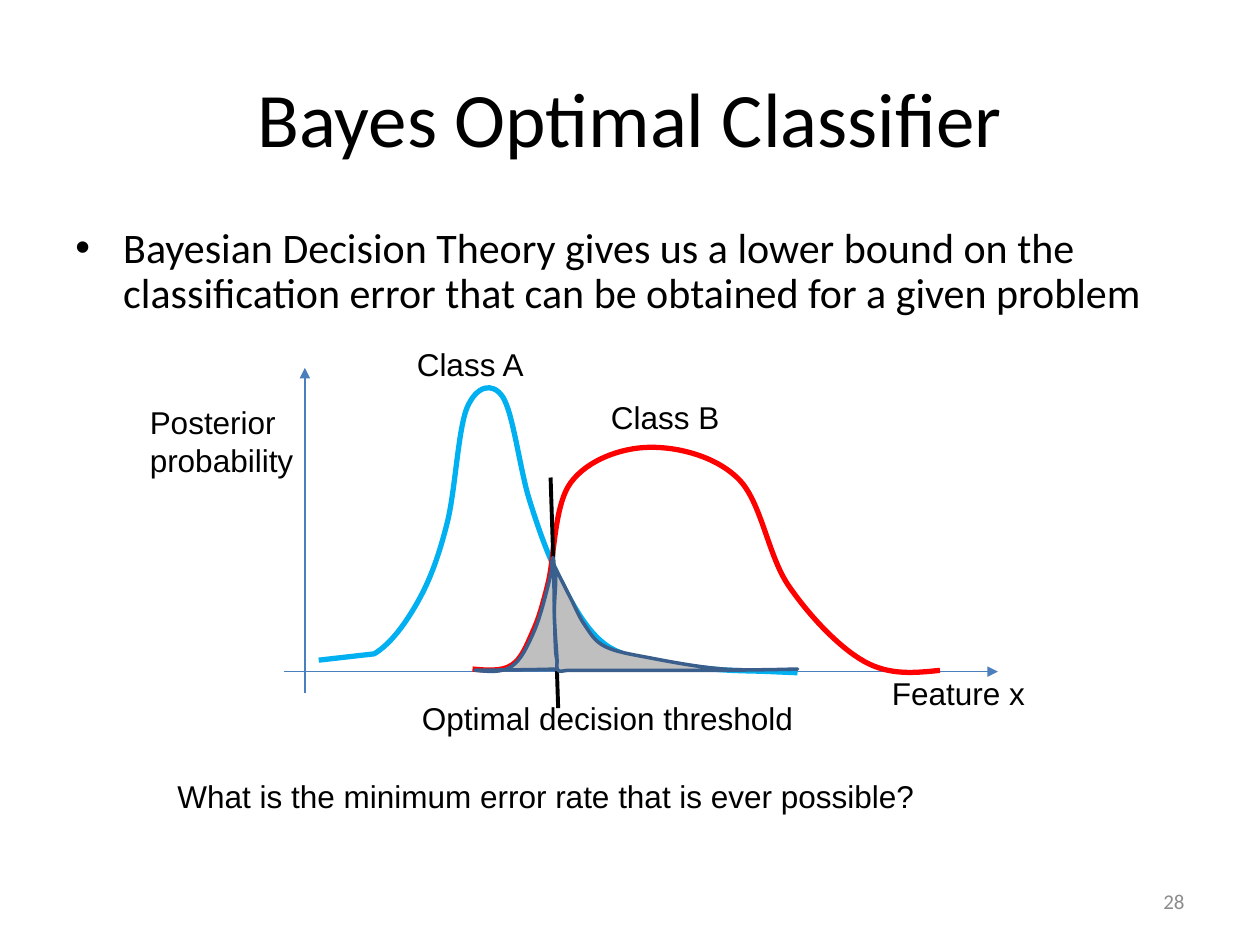
from lxml import etree
from pptx import Presentation, util as u
from pptx.dml.color import RGBColor
from pptx.enum import shapes, text
from pptx.oxml.ns import qn

PX = 9144  # 100 px to the inch
color = RGBColor.from_string

deck = Presentation()
deck.slide_width, deck.slide_height = 1000 * PX, 750 * PX
page = deck.slides.add_slide(deck.slide_layouts[6])


def draw_line(start, end, stroke, width, arrow=False):
    line = page.shapes.add_connector(
        shapes.MSO_CONNECTOR.STRAIGHT, *(n * PX for n in start + end))
    line.line.color.rgb = color(stroke)
    line.line.width = u.Pt(width)
    if arrow:
        etree.SubElement(line.line._get_or_add_ln(), qn("a:tailEnd"), type="triangle")
    etree.SubElement(line._element.spPr, qn("a:effectLst"))


def draw_curve(place, anchors, stroke, width, fill=None, straight=()):
    """Smooth curve through the anchors; pieces listed in straight stay lines."""
    builder = page.shapes.build_freeform(*anchors[0], scale=PX)
    builder.add_line_segments(anchors[1:], close=bool(fill))
    shape = builder.convert_to_shape()
    shape.left, shape.top, shape.width, shape.height = (n * PX for n in place)
    path = shape._element.spPr.find(".//" + qn("a:path"))
    path.set("w", str(place[2] * PX))
    path.set("h", str(place[3] * PX))
    pieces = [piece for piece in path if piece.tag != qn("a:close")]
    last = len(anchors) - 1
    for i, piece in enumerate(pieces):
        p, q = anchors[max(i - 1, 0)], anchors[i]
        points, tag = [q], piece.tag
        if i > 0 and i - 1 not in straight:
            tag = qn("a:cubicBezTo")
            before, after = anchors[max(i - 2, 0)], anchors[min(i + 1, last)]
            leave = [a + (b - z) / 6 for z, a, b in zip(before, p, q)]
            reach = [b - (c - a) / 6 for a, b, c in zip(p, q, after)]
            if i == 1:
                leave = [(a + b) / 2 for a, b in zip(p, reach)]
            if i == last:
                reach = [(a + b) / 2 for a, b in zip(leave, q)]
            points = [leave, reach, q]
        smooth = etree.Element(tag)
        for x, y in points:
            etree.SubElement(smooth, qn("a:pt"), x=str(round((x - place[0]) * PX)),
                             y=str(round((y - place[1]) * PX)))
        path.replace(piece, smooth)
    shape.shadow.inherit = False
    shape.line.color.rgb = color(stroke)
    shape.line.width = u.Pt(width)
    if fill:
        shape.fill.solid()
        shape.fill.fore_color.rgb = color(fill)
    else:
        shape.fill.background()


# Title, body and slide number
left, center, right = text.PP_ALIGN.LEFT, text.PP_ALIGN.CENTER, text.PP_ALIGN.RIGHT
top, middle = text.MSO_ANCHOR.TOP, text.MSO_ANCHOR.MIDDLE
frames = [
    ("Bayes Optimal Classifier", (50, 30, 900, 125), 44, "000000", center, middle),
    ("Bayesian Decision Theory gives us a lower bound on the classification error "
     "that can be obtained for a given problem",
     (50, 175, 900, 92), 24, "000000", left, top),
    ("28", (717, 695, 233, 40), 12, "8C8C8C", right, middle),
]
for words, place, size, ink, align, anchor in frames:
    box = page.shapes.add_textbox(*(n * PX for n in place))
    box.text_frame.word_wrap = True
    box.text_frame.vertical_anchor = anchor
    para = box.text_frame.paragraphs[0]
    para.text = words
    para.alignment = align
    if size == 24:  # the one bulleted paragraph
        para.line_spacing = 0.9
        props = para._p.get_or_add_pPr()
        props.set("marL", str(38 * PX))
        props.set("indent", str(-38 * PX))
        etree.SubElement(props, qn("a:buFont"), typeface="Arial")
        etree.SubElement(props, qn("a:buChar"), char="•")
    para.font.name, para.font.size = "Calibri", u.Pt(size)
    para.font.color.rgb = color(ink)

# Axes
draw_line((225, 533), (792, 533), "4B7EBC", 0.75, arrow=True)
draw_line((242, 550), (242, 292), "4B7EBC", 0.75, arrow=True)

# Class A and class B curves
draw_curve((253, 308, 380, 226),
           [(253, 524), (297, 519), (332, 477), (355, 415), (371, 323), (399, 315),
            (420, 396), (443, 457), (473, 505), (508, 523), (565, 531), (609, 533),
            (633, 534)], "00B0F0", 3, straight=(0, 11))
draw_curve((375, 355, 371, 179),
           [(375, 531), (406, 528), (423, 501), (435, 463), (453, 383), (515, 355),
            (586, 380), (626, 465), (686, 525), (746, 532)], "FF0000", 3)

# Decision threshold
draw_line((437, 379), (443, 562), "000000", 2.25)

# Diagram labels and the question
labels = [
    (["Class A"], (321, 269, 106, 40)),
    (["Feature x"], (698, 530, 127, 40)),
    (["Posterior", "probability"], (109, 315, 135, 71)),
    (["Class B"], (475, 311, 107, 40)),
    (["Optimal decision threshold"], (325, 550, 318, 40)),
    (["What is the minimum error rate that is ever possible?"], (131, 612, 611, 40)),
]
for lines, place in labels:
    box = page.shapes.add_textbox(*(n * PX for n in place))
    box.text_frame.word_wrap = False
    box.text_frame.auto_size = text.MSO_AUTO_SIZE.SHAPE_TO_FIT_TEXT
    box.text_frame.text = "\n".join(lines)
    for para in box.text_frame.paragraphs:
        para.font.name, para.font.size = "Arial", u.Pt(18)
        para.font.color.rgb = color("000000")

# Error regions left and right of the threshold
draw_curve((376, 443, 71, 90),
           [(377, 532), (406, 529), (424, 501), (436, 461), (439, 443), (440, 481),
            (441, 516), (443, 529), (442, 531), (377, 532)], "3A5F8C", 2, "BFBFBF")
draw_curve((438, 445, 195, 88),
           [(487, 532), (453, 532), (443, 532), (442, 521), (440, 487), (441, 458),
            (438, 446), (452, 473), (464, 496), (480, 513), (515, 522), (574, 531),
            (633, 531), (569, 532), (487, 532)], "3A5F8C", 2, "BFBFBF", straight=(0, 13))

deck.save("out.pptx")
